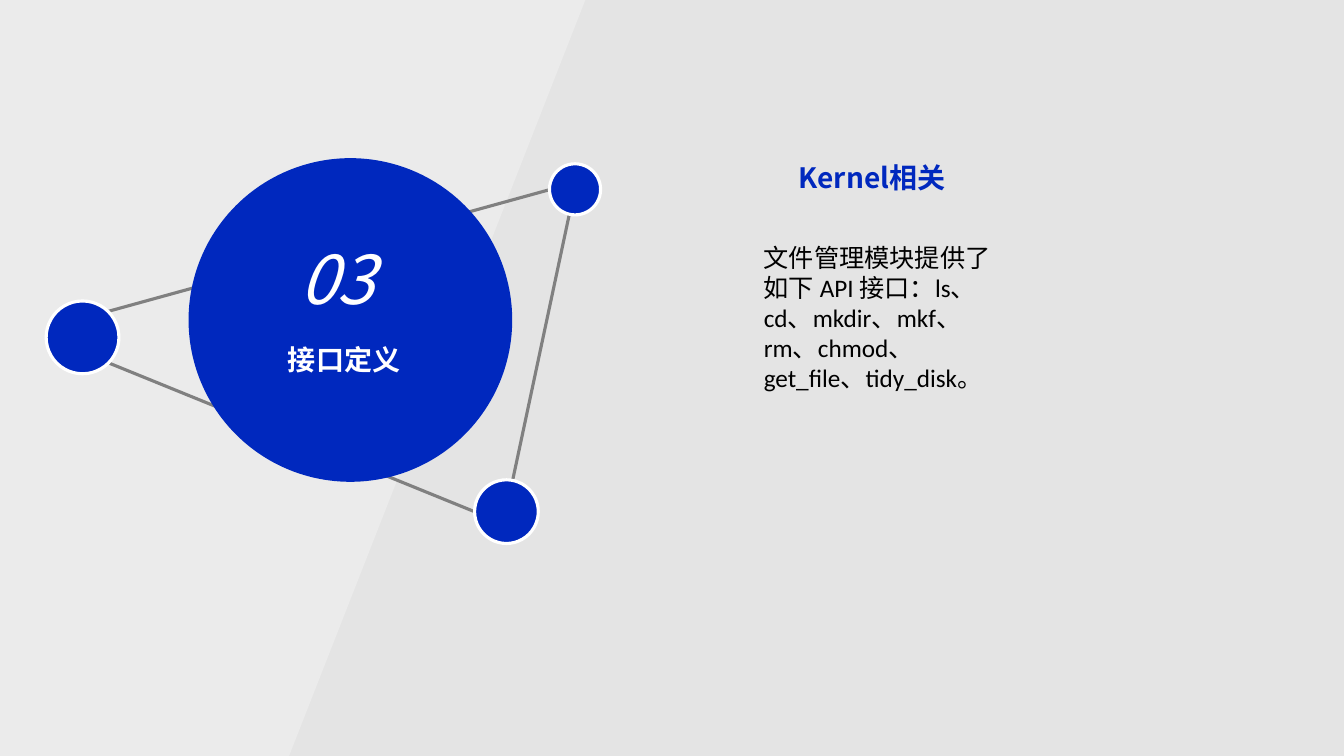
from dataclasses import dataclass

from lxml import etree
from pptx import Presentation
from pptx.dml.color import RGBColor
from pptx.enum import shapes, text
from pptx.oxml.ns import qn
from pptx.util import Pt


@dataclass(frozen=True)
class Theme:
    background: str = "E4E4E4"
    panel: str = "F1F1F1"
    panel_alpha: int = 54
    blue: str = "0028BE"
    gray: str = "808080"
    white: str = "FFFFFF"
    black: str = "000000"
    heading_font: str = "Noto Sans CJK SC"
    body_font: str = "Calibri"
    number_size: int = 48
    heading_size: int = 20
    body_size: int = 18
    line_width: float = 2.25


THEME = Theme()


def paint(fill, color):
    fill.solid()
    fill.fore_color.rgb = RGBColor.from_string(color)


def add_panel(slide):
    """Draw the translucent slanted panel on the left."""
    builder = slide.shapes.build_freeform(Pt(418.5), Pt(-1))
    builder.add_line_segments([(Pt(x), Pt(y)) for x, y in ((206.5, 540), (-1, 540), (-1, -1))])
    panel = builder.convert_to_shape()
    panel.shadow.inherit = False
    paint(panel.fill, THEME.panel)
    panel.line.fill.background()
    color = panel._element.spPr.find(qn("a:solidFill"))[0]
    etree.SubElement(color, qn("a:alpha"), val=str(THEME.panel_alpha * 1000))


def add_link(slide, start, end):
    points = [Pt(value) for value in (*start, *end)]
    link = slide.shapes.add_connector(shapes.MSO_CONNECTOR.STRAIGHT, *points)
    link.line.color.rgb = RGBColor.from_string(THEME.gray)
    link.line.width = Pt(THEME.line_width)
    etree.SubElement(link._element.spPr, qn("a:effectLst"))


def add_disc(slide, left, top, diameter, outlined=True):
    disc = slide.shapes.add_shape(
        shapes.MSO_SHAPE.OVAL, Pt(left), Pt(top), Pt(diameter), Pt(diameter))
    disc.shadow.inherit = False
    paint(disc.fill, THEME.blue)
    if outlined:
        disc.line.color.rgb = RGBColor.from_string(THEME.white)
        disc.line.width = Pt(THEME.line_width)
    else:
        disc.line.fill.background()


def write_text(shape, wording, box, size, color, font=THEME.heading_font,
               align=text.PP_ALIGN.LEFT, bold=False, italic=False):
    """Place a text shape and fill it with one formatted paragraph."""
    shape.left, shape.top, shape.width, shape.height = (Pt(value) for value in box)
    frame = shape.text_frame
    frame.text = wording
    frame.word_wrap = True
    frame.auto_size = text.MSO_AUTO_SIZE.SHAPE_TO_FIT_TEXT
    frame.vertical_anchor = text.MSO_ANCHOR.TOP
    paragraph = frame.paragraphs[0]
    paragraph.alignment = align
    paragraph.line_spacing = 1.0
    paragraph.space_before = Pt(0)
    run = paragraph.runs[0]
    run.font.size = Pt(size)
    run.font.bold = bold
    run.font.italic = italic
    run.font.color.rgb = RGBColor.from_string(color)
    run.font.name = font
    etree.SubElement(run.font._element, qn("a:ea"), typeface=THEME.heading_font)


def add_text(slide, wording, box, size, color, **style):
    shape = slide.shapes.add_textbox(*(Pt(value) for value in box))
    write_text(shape, wording, box, size, color, **style)


def add_title(slide, wording, box):
    """Fill the title and bring it in front of the large disc."""
    title = slide.shapes.title
    write_text(title, wording, box, THEME.heading_size, THEME.white, bold=True)
    slide.shapes._spTree.append(title._element)


def main():
    presentation = Presentation()
    presentation.slide_width, presentation.slide_height = Pt(960), Pt(540)
    slide = presentation.slides.add_slide(presentation.slide_layouts[5])
    paint(slide.background.fill, THEME.background)

    add_panel(slide)
    for start, end in (((77, 259), (339, 365.5)),
                       ((407, 151.5), (366, 344)),
                       ((77, 222.5), (392.5, 135.5))):
        add_link(slide, start, end)
    add_disc(slide, 134.7, 113, 231.2, outlined=False)
    for left, top, diameter in ((33, 215, 52), (392.5, 117, 36.5), (339, 342.7, 45.5)):
        add_disc(slide, left, top, diameter)

    center = text.PP_ALIGN.CENTER
    add_title(slide, "接口定义", (198.5, 241, 104, 31.5))
    add_text(slide, "03", (196.5, 166.3, 88.5, 65.5), THEME.number_size, THEME.white,
             align=center, italic=True)
    add_text(slide, "Kernel相关", (552, 111, 142, 31.5), THEME.heading_size, THEME.blue,
             align=center, bold=True)
    add_text(slide,
             "文件管理模块提供了如下 API 接口：ls、cd、mkdir、mkf、rm、chmod、get_file、tidy_disk。",
             (538.5, 169.2, 179.5, 116), THEME.body_size, THEME.black, font=THEME.body_font)
    presentation.save("out.pptx")


if __name__ == "__main__":
    main()
